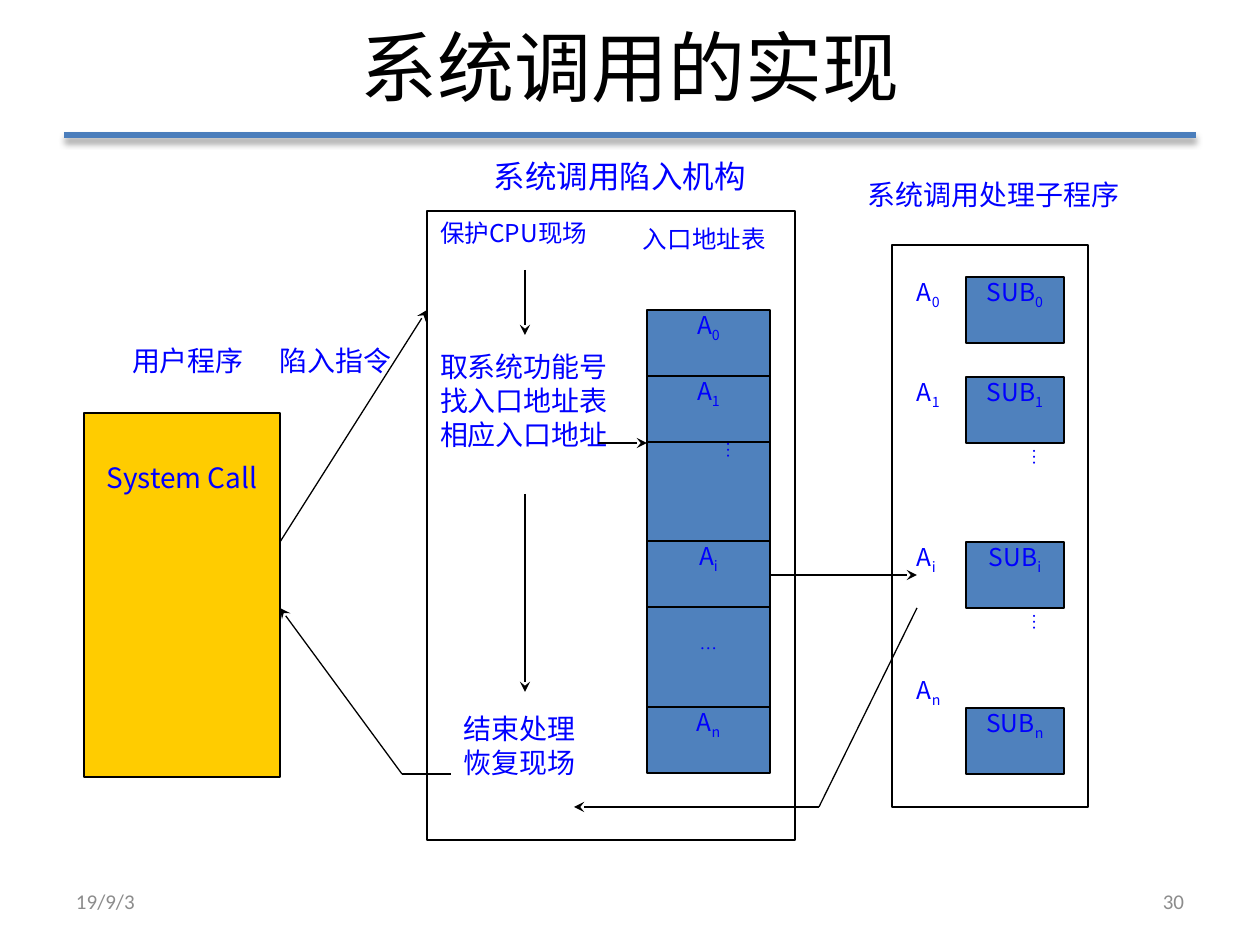
from lxml import etree
from pptx import Presentation
from pptx.dml.color import RGBColor
from pptx.enum.shapes import MSO_CONNECTOR, MSO_SHAPE
from pptx.enum.text import MSO_ANCHOR, PP_ALIGN
from pptx.oxml import parse_xml
from pptx.oxml.ns import nsdecls, qn
from pptx.util import Emu, Pt

SCALE = 914400 // 126
BLACK = RGBColor(0x00, 0x00, 0x00)
BLUE_TEXT = RGBColor(0x00, 0x00, 0xFF)
BLUE_FILL = RGBColor(0x4F, 0x81, 0xBD)
RULE_BLUE = RGBColor(0x4B, 0x7E, 0xBC)
YELLOW = RGBColor(0xFF, 0xCC, 0x00)
GREY = RGBColor(0x8C, 0x8C, 0x8C)
CENTER, LEFT, RIGHT, JUSTIFY = (
    PP_ALIGN.CENTER, PP_ALIGN.LEFT, PP_ALIGN.RIGHT, PP_ALIGN.JUSTIFY)
TOP, MIDDLE = MSO_ANCHOR.TOP, MSO_ANCHOR.MIDDLE
RECTANGLE, STRAIGHT = MSO_SHAPE.RECTANGLE, MSO_CONNECTOR.STRAIGHT
SANS, SERIF, FOOTER_FONT = "Noto Sans CJK JP", "Times New Roman", "Calibri"
NO_INSET = (0, 0, 0, 0)
INSET = (13, 6, 13, 6)


def px(value):
    """Turn pixels into EMU."""
    return Emu(value * SCALE)


class Diagram:
    """Current slide together with its default style."""

    def __init__(self, slide):
        """Keep the slide and the usual text format."""
        self.slide = slide
        self.font = {"name": SANS, "size": Pt(14)}

    def letter(self, shape, lines, size=14, color=BLUE_TEXT, font=SANS,
               align=JUSTIFY, anchor=TOP, inset=NO_INSET, vertical=False):
        """Fill a shape with lines; an underscore starts a subscript."""
        frame = shape.text_frame
        sides = ("margin_left", "margin_top", "margin_right", "margin_bottom")
        settings = dict(zip(sides, map(px, inset)))
        settings.update(word_wrap=True, vertical_anchor=anchor)
        for name, value in settings.items():
            setattr(frame, name, value)
        if vertical:
            frame._txBody.bodyPr.set("vert", "eaVert")
        style = {**self.font, "name": font, "size": Pt(size)}
        for index, line in enumerate(lines.split("\n")):
            paragraph = frame.add_paragraph() if index else frame.paragraphs[0]
            paragraph.alignment = align
            for level, part in enumerate(line.split("_")):
                run = paragraph.add_run()
                run.text = part
                for name, value in style.items():
                    setattr(run.font, name, value)
                run.font.color.rgb = color
                properties = run.font._element
                if level:
                    properties.set("baseline", "-25000")
                east_asian = etree.SubElement(properties, qn("a:ea"))
                east_asian.set("typeface", font)

    def label(self, box, lines, **style):
        """Add free text."""
        shape = self.slide.shapes.add_textbox(*map(px, box))
        self.letter(shape, lines, **style)

    def block(self, box, fill=None, lines=None, **style):
        """Add an outlined rectangle, filled and lettered if asked."""
        shape = self.slide.shapes.add_shape(RECTANGLE, *map(px, box))
        shape.shadow.inherit = False
        if fill is None:
            shape.fill.background()
        else:
            shape.fill.solid()
            shape.fill.fore_color.rgb = fill
        shape.line.color.rgb = BLACK
        shape.line.width = Pt(0.75)
        if lines:
            self.letter(shape, lines, **{"align": CENTER, **style})

    def line(self, start, end, color=BLACK, width=0.75, arrow=False,
             shadow=False):
        """Add a straight line, with an arrowhead or a shadow if asked."""
        connector = self.slide.shapes.add_connector(
            STRAIGHT, *map(px, start + end))
        connector.line.color.rgb = color
        connector.line.width = Pt(width)
        if arrow:
            tail = etree.SubElement(connector.line._get_or_add_ln(),
                                    qn("a:tailEnd"))
            tail.set("type", "stealth")
        drop = ('<a:outerShdw blurRad="50800" dist="38100" dir="5400000">'
                '<a:srgbClr val="000000"><a:alpha val="40000"/></a:srgbClr>'
                '</a:outerShdw>') if shadow else ""
        connector._element.spPr.append(parse_xml(
            f'<a:effectLst {nsdecls("a")}>{drop}</a:effectLst>'))

    def path_arrow(self, *points):
        """Join points by lines and put an arrowhead on the last one."""
        last = len(points) - 2
        for index, ends in enumerate(zip(points, points[1:])):
            self.line(*ends, arrow=index == last)


def draw_user_program(diagram):
    """Draw the calling program on the left."""
    diagram.block((84, 413, 196, 364), YELLOW, "System Call", size=16,
                  inset=(13, 48, 13, 6))
    diagram.label((132, 344, 122, 66), "用户程序", size=16)
    diagram.label((280, 344, 122, 66), "陷入指令", size=16)


def draw_subroutines(diagram):
    """Draw the handling subroutines on the right."""
    diagram.label((868, 178, 266, 67), "系统调用处理子程序", size=16)
    for index, label_top, block_top in (
            ("0", 277, 277), ("1", 377, 377), ("i", 542, 542), ("n", 675, 708)):
        diagram.label((917, label_top, 49, 66), f"A_{index}")
        diagram.block((966, block_top, 98, 66), BLUE_FILL, f"SUB_{index}")
    for top in (443, 608):
        diagram.label((966, top, 98, 100), "…", size=10, font=SERIF,
                      inset=INSET, vertical=True)
    diagram.block((892, 245, 196, 562))


def draw_trap(diagram):
    """Draw the trap mechanism with its entry address table."""
    diagram.label((494, 157, 262, 38), "系统调用陷入机构", size=18)
    diagram.label((427, 212, 197, 106), "保护CPU现场", inset=INSET)
    diagram.label((630, 218, 158, 62), "入口地址表", inset=INSET)
    diagram.label((427, 344, 197, 150),
                  "取系统功能号\n找入口地址表\n相应入口地址", size=16, inset=INSET)
    diagram.label((451, 706, 147, 112), "结束处理\n恢复现场", size=16,
                  inset=INSET)
    gap = {"size": 10, "font": SERIF}
    top = 310
    for entry, height, style in (
            ("A_0", 66, {}), ("A_1", 66, {}),
            ("…", 99, {**gap, "align": LEFT, "vertical": True,
                       "inset": (0, 0, 25, 0)}),
            ("A_i", 66, {}), ("…", 100, {**gap, "inset": (0, 25, 0, 0)}),
            ("A_n", 66, {})):
        diagram.block((647, top, 123, height), BLUE_FILL, entry, **style)
        top += height
    diagram.block((427, 211, 368, 629))


def main():
    """Build and save the slide."""
    deck = Presentation()
    deck.slide_width, deck.slide_height = px(1260), px(945)
    diagram = Diagram(deck.slides.add_slide(deck.slide_layouts[6]))
    diagram.line((64, 135), (1196, 135), color=RULE_BLUE, width=3, shadow=True)
    diagram.label((63, -4, 1134, 139), "系统调用的实现", size=44, color=BLACK,
                  align=CENTER, anchor=MIDDLE, inset=INSET)
    draw_user_program(diagram)
    draw_subroutines(diagram)
    draw_trap(diagram)
    for points in (
            ((525, 270), (525, 335)),
            ((525, 494), (525, 692)),
            ((598, 443), (647, 443)),
            ((451, 774), (402, 774), (280, 608)),
            ((280, 542), (427, 310)),
            ((770, 575), (917, 575)),
            ((917, 608), (819, 807), (574, 807))):
        diagram.path_arrow(*points)
    for left, text, align in ((63, "19/9/3", LEFT), (903, "30", RIGHT)):
        diagram.label((left, 876, 294, 50), text, size=12, color=GREY,
                      font=FOOTER_FONT, align=align, anchor=MIDDLE, inset=INSET)
    deck.save("out.pptx")


main()
